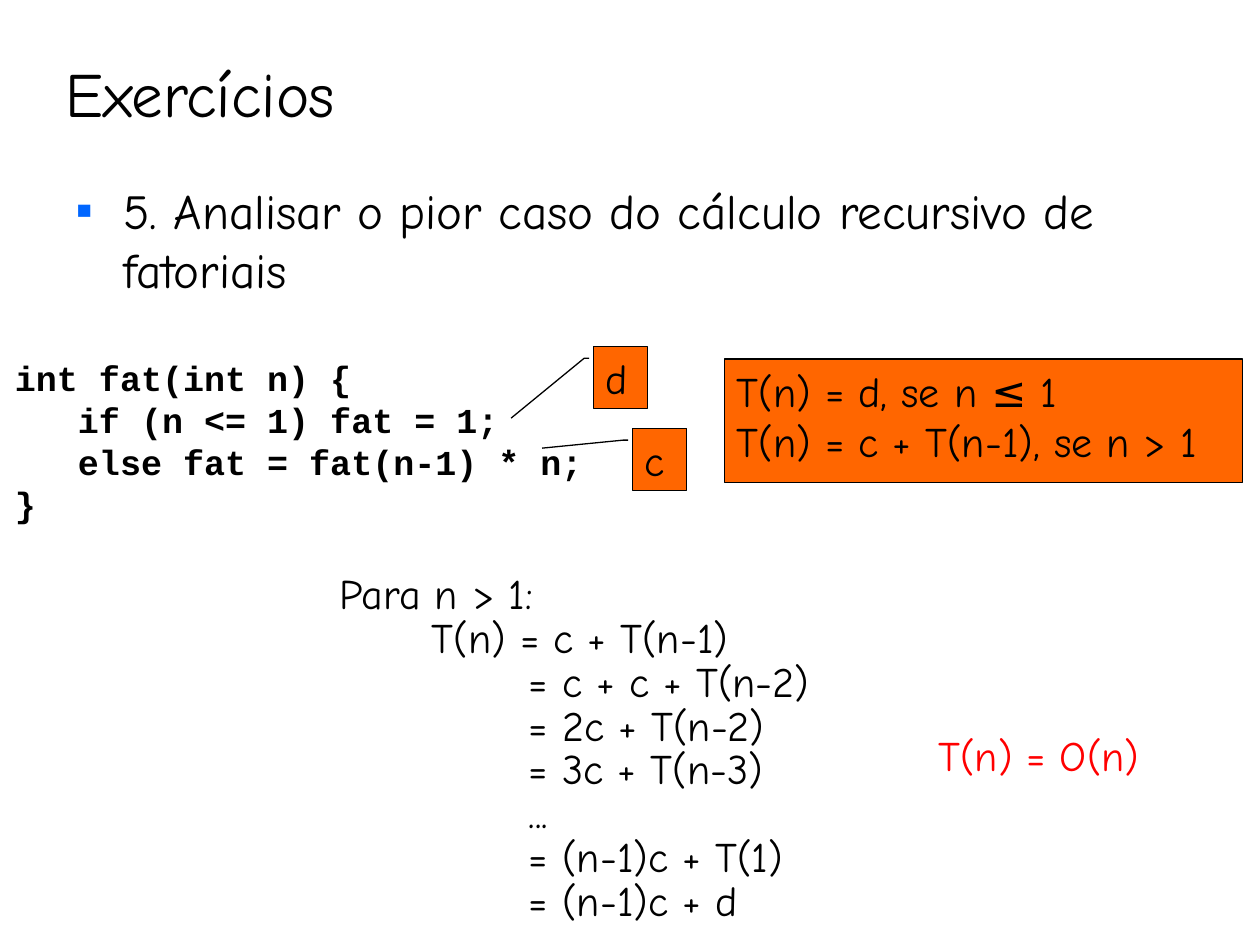
from dataclasses import dataclass

from lxml import etree
from pptx import Presentation
from pptx import util as u
from pptx.dml.color import RGBColor
from pptx.enum import shapes, text
from pptx.oxml.ns import qn

COLUMNS, ROWS = 100, 75
WIDTH, HEIGHT = u.Inches(10), u.Inches(7.5)


@dataclass(frozen=True)
class Theme:
    ink: str = "000000"
    accent: str = "FF6600"
    bullet: str = "0066FF"
    answer: str = "FF0000"
    hand: str = "Comic Neue"
    mono: str = "Courier New"
    title: int = 36
    body: int = 28
    note: int = 24
    code: int = 20


THEME = Theme()
LEFT, CENTER = text.PP_ALIGN.LEFT, text.PP_ALIGN.CENTER


def grid(left, top, width, height):
    """Turn columns and rows of the slide grid into lengths."""
    column, row = WIDTH / COLUMNS, HEIGHT / ROWS
    return [round(n * size) for n, size in zip((left, top, width, height), (column, row) * 2)]


def apply(target, values):
    for name, value in values.items():
        setattr(target, name, value)


def place(box, cells):
    apply(box, dict(zip(("left", "top", "width", "height"), grid(*cells))))


def write(box, lines, size, font=THEME.hand, color=THEME.ink, bold=False,
          align=LEFT, spacing=None, indents=None, **frame_format):
    """Fill a box with one paragraph a line; indents are inches, one a line."""
    frame = box.text_frame
    apply(frame, {"word_wrap": True, "vertical_anchor": text.MSO_ANCHOR.TOP, **frame_format})
    for number, line in enumerate(lines):
        para = frame.paragraphs[0] if number == 0 else frame.add_paragraph()
        apply(para, {"alignment": align, "space_before": u.Pt(0), "line_spacing": spacing})
        if indents:
            para._p.get_or_add_pPr().set("marL", str(u.Inches(indents[number])))
        span = para.add_run()
        span.text = line
        apply(span.font, {"name": font, "size": u.Pt(size), "bold": bold})
        span.font.color.rgb = RGBColor.from_string(color)


def add_bullet(para, mark, color, hang):
    props = para._p.get_or_add_pPr()
    props.set("marL", str(u.Inches(hang)))
    props.set("indent", str(-u.Inches(hang)))
    tint = etree.SubElement(props, qn("a:buClr"))
    etree.SubElement(tint, qn("a:srgbClr"), val=color)
    etree.SubElement(props, qn("a:buChar"), char=mark)


def add_text(page, cells, lines, size, **style):
    box = page.shapes.add_textbox(*grid(*cells))
    write(box, lines, size, **style)


def add_panel(page, kind, cells, lines, adjustments=()):
    panel = page.shapes.add_shape(kind, *grid(*cells))
    panel.shadow.inherit = False
    panel.fill.solid()
    panel.fill.fore_color.rgb = RGBColor.from_string(THEME.accent)
    panel.line.color.rgb = RGBColor.from_string(THEME.ink)
    panel.line.width = u.Pt(0.75)
    for number, value in enumerate(adjustments):
        panel.adjustments[number] = value
    write(panel, lines, THEME.note, word_wrap=False)


def add_cost(page, left, top, letter, pointer_end):
    """Label a code line with its cost; pointer_end is (y, x) in box shares."""
    add_panel(page, shapes.MSO_SHAPE.LINE_CALLOUT_2, (left, top, 4.3, 4.9), [letter],
              (0.19, -0.08, 0.19, -0.17, *pointer_end))


def main():
    deck = Presentation()
    deck.slide_width, deck.slide_height = WIDTH, HEIGHT
    page = deck.slides.add_slide(deck.slide_layouts[1])
    title, body = page.placeholders

    place(title, (4.2, 2.5, 90.8, 8.3))
    write(title, ["Exercícios"], THEME.title, vertical_anchor=text.MSO_ANCHOR.BOTTOM)

    place(body, (5, 13.8, 89.4, 11.8))
    write(body, ["5. Analisar o pior caso do cálculo recursivo de fatoriais"], THEME.body)
    add_bullet(body.text_frame.paragraphs[0], "▪", THEME.bullet, 0.38)

    code = ["int fat(int n) {",
            "   if (n <= 1) fat = 1;",
            "   else fat = fat(n-1) * n;",
            "}"]
    add_text(page, (0.2, 27.8, 53.9, 14.4), code, THEME.code, font=THEME.mono, bold=True)

    add_cost(page, 47.1, 27.5, "d", (1.16, -1.52))
    add_cost(page, 50.2, 34, "c", (0.32, -1.67))
    add_panel(page, shapes.MSO_SHAPE.RECTANGLE, (57.5, 28.5, 41.1, 9.8),
              ["T(n) = d, se n ≤ 1", "T(n) = c + T(n-1), se n > 1"])

    steps = ["= c + c + T(n-2)", "= 2c + T(n-2)", "= 3c + T(n-3)", "...",
             "= (n-1)c + T(1)", "= (n-1)c + d"]
    add_text(page, (26, 45.1, 41, 29.5), ["Para n > 1:", "T(n) = c + T(n-1)", *steps],
             THEME.note, spacing=u.Pt(25), indents=[0, 0.73] + [1.5] * len(steps))
    add_text(page, (67.5, 57.9, 24.9, 4.5), ["T(n) = O(n)"], THEME.note, color=THEME.answer,
             align=CENTER, spacing=u.Pt(25), indents=[0.5])

    deck.save("out.pptx")


if __name__ == "__main__":
    main()
